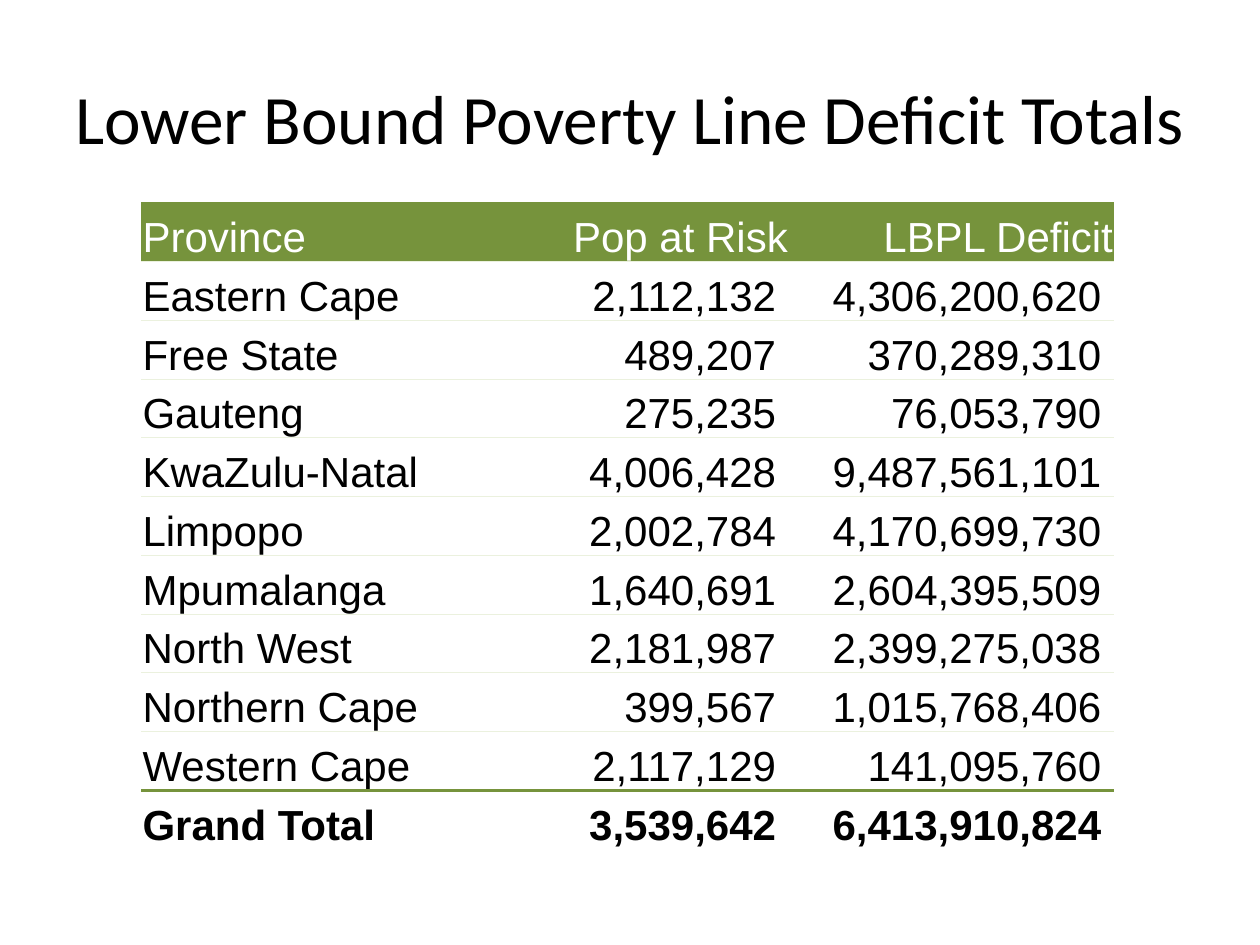
import pptx
import pptx.dml.color
import pptx.enum.text
import pptx.oxml.ns
import pptx.util
from lxml import etree

Pt = pptx.util.Pt
ALIGN = pptx.enum.text.PP_ALIGN
ANCHOR = pptx.enum.text.MSO_ANCHOR

GREEN, PALE, WHITE, BLACK = "76933C", "EBF1DE", "FFFFFF", "000000"
HEADS = ("Province", "Pop at Risk", "LBPL Deficit")
DATA = (
    ("Eastern Cape", 2112132, 4306200620),
    ("Free State", 489207, 370289310),
    ("Gauteng", 275235, 76053790),
    ("KwaZulu-Natal", 4006428, 9487561101),
    ("Limpopo", 2002784, 4170699730),
    ("Mpumalanga", 1640691, 2604395509),
    ("North West", 2181987, 2399275038),
    ("Northern Cape", 399567, 1015768406),
    ("Western Cape", 2117129, 141095760),
    ("Grand Total", 3539642, 6413910824),
)
WIDTHS = (198.7, 171.4, 185.8)
LEFT, TOP, ROW = 80.8, 115.9, 33.58
PAD, INDENT = 0.7, 7.4


def color(code):
    return pptx.dml.color.RGBColor.from_string(code)


def apply(target, values):
    for name, value in values.items():
        setattr(target, name, value)


def write(frame, text, align, tint, **font):
    para = frame.paragraphs[0]
    para.alignment = align
    run = para.add_run()
    run.text = text
    apply(run.font, font)
    run.font.color.rgb = color(tint)


def add_title(slide, text):
    box = slide.shapes.add_textbox(Pt(0), Pt(21.6), Pt(720), Pt(90))
    apply(box.text_frame, {"word_wrap": True, "vertical_anchor": ANCHOR.MIDDLE})
    write(box.text_frame, text, ALIGN.CENTER, BLACK, name="Calibri", size=Pt(39.6))


def set_edges(cell, top, bottom):
    """Draw top and bottom edges given as (colour, width); None hides one."""
    props = cell._tc.get_or_add_tcPr()
    edges = {"lnL": None, "lnR": None, "lnT": top, "lnB": bottom}
    for spot, (tag, edge) in enumerate(edges.items()):
        line = etree.Element(pptx.oxml.ns.qn(f"a:{tag}"))
        if edge:
            tint, width = edge
            line.set("w", str(Pt(width)))
            fill = etree.SubElement(line, pptx.oxml.ns.qn("a:solidFill"))
            etree.SubElement(fill, pptx.oxml.ns.qn("a:srgbClr"), val=tint)
        else:
            etree.SubElement(line, pptx.oxml.ns.qn("a:noFill"))
        props.insert(spot, line)


def fill_cell(cell, value, head, total):
    number = isinstance(value, int)
    apply(cell, {
        "vertical_anchor": ANCHOR.BOTTOM,
        "margin_left": Pt(PAD),
        "margin_right": Pt(INDENT if number else PAD),
        "margin_top": Pt(PAD),
        "margin_bottom": Pt(0),
    })
    if head:
        cell.fill.solid()
        cell.fill.fore_color.rgb = color(GREEN)
    else:
        cell.fill.background()
    right = number or (head and value != HEADS[0])
    write(cell.text_frame, f"{value:,}" if number else value,
          ALIGN.RIGHT if right else ALIGN.LEFT, WHITE if head else BLACK,
          name="Arial", size=Pt(24), bold=total)


def add_table(slide):
    rows = (HEADS,) + DATA
    last = len(rows) - 1
    frame = slide.shapes.add_table(len(rows), len(HEADS), Pt(LEFT), Pt(TOP),
                                   Pt(sum(WIDTHS)), Pt(ROW * len(rows)))
    table = frame.table
    apply(table, {"first_row": False, "horz_banding": False})
    for col, width in zip(table.columns, WIDTHS):
        col.width = Pt(width)
    # One edge above each row, and none below the last
    edges = [(GREEN, 0.5)] + [(PALE, 0.5)] * (last - 1) + [(GREEN, 2), None]
    for r, values in enumerate(rows):
        table.rows[r].height = Pt(ROW)
        for c, value in enumerate(values):
            cell = table.cell(r, c)
            fill_cell(cell, value, r == 0, r == last)
            set_edges(cell, edges[r], edges[r + 1])


def main():
    deck = pptx.Presentation()
    apply(deck, {"slide_width": Pt(720), "slide_height": Pt(540)})
    slide = deck.slides.add_slide(deck.slide_layouts[6])
    add_title(slide, "Lower Bound Poverty Line Deficit Totals")
    add_table(slide)
    deck.save("out.pptx")


if __name__ == "__main__":
    main()
